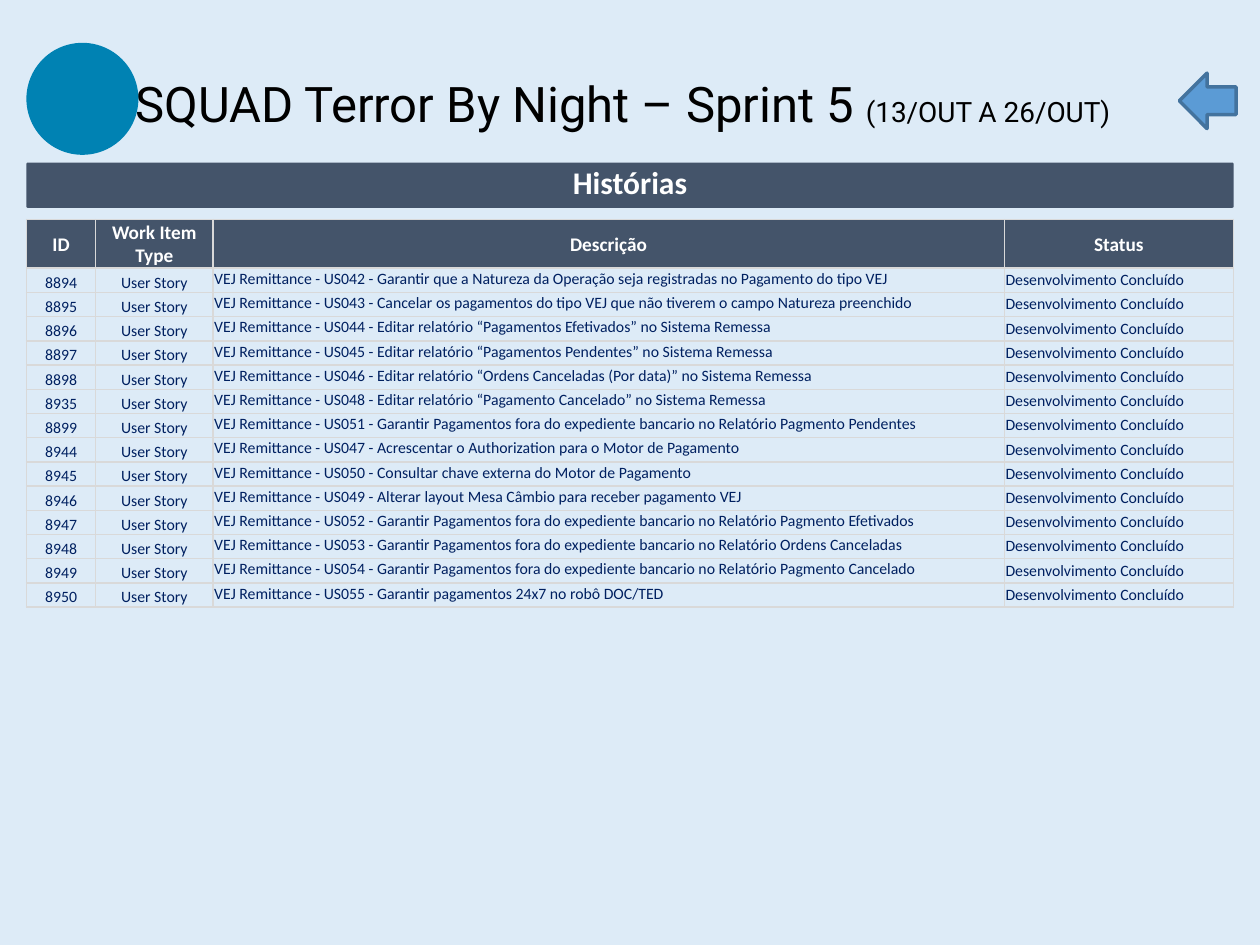
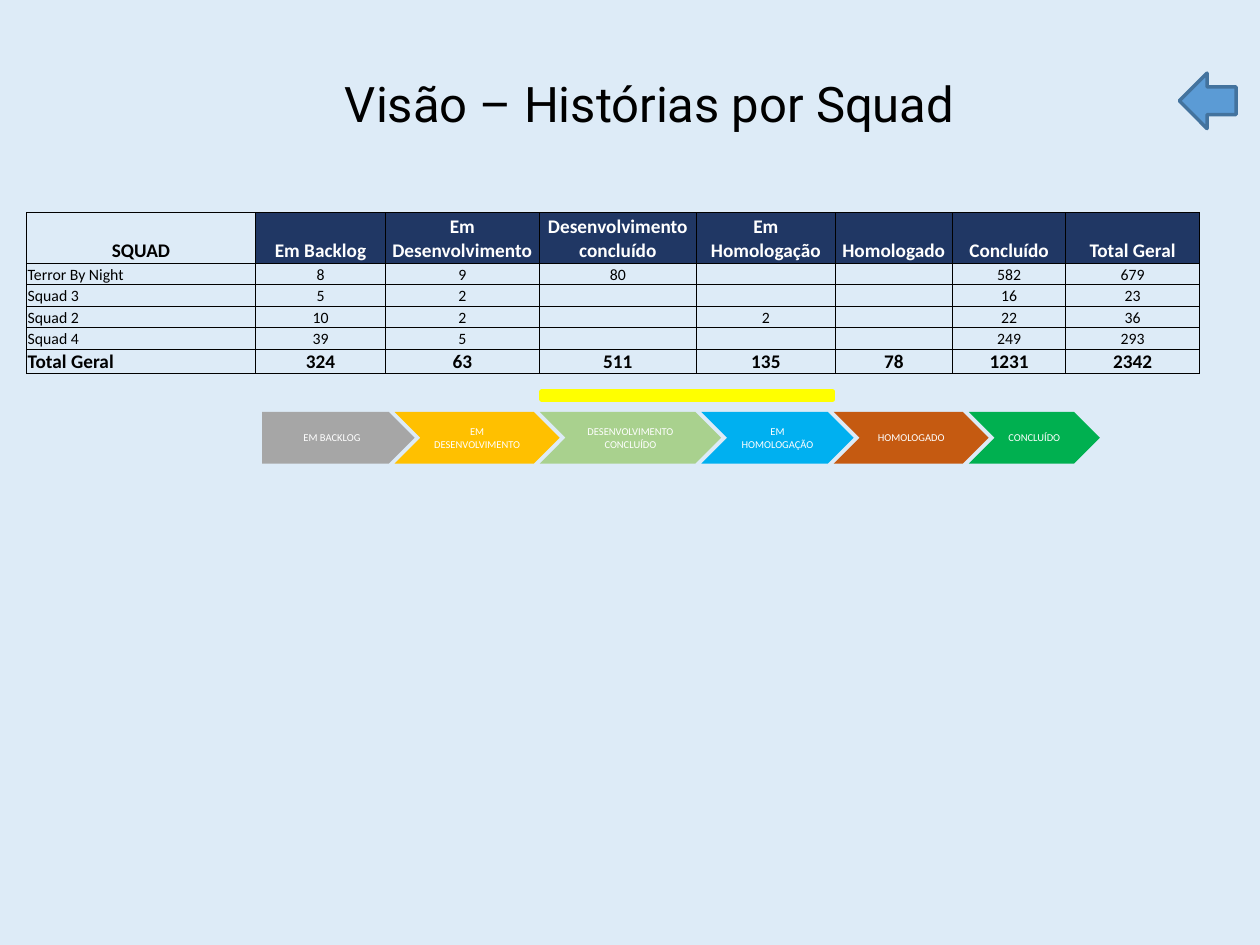
from collections import namedtuple

from lxml import etree
from pptx import Presentation
from pptx.dml import color
from pptx.enum import shapes, text
from pptx.oxml import ns
from pptx.util import Pt

Box = namedtuple("Box", "left top width height")

SKY, SLATE, NAVY, INK_BLUE = "DDEBF7", "44546A", "203764", "002060"
WHITE, BLACK = "FFFFFF", "000000"
TITLE_FONT, BODY_FONT = "Roboto", "Calibri"
MARGIN = 15.12
HAIR_INSETS = dict(margin_left=Pt(0.72), margin_top=Pt(0.72),
                   margin_right=Pt(0.72), margin_bottom=0)
STATUS_INSETS = {**HAIR_INSETS, "margin_top": Pt(1.44), "margin_bottom": Pt(1.44)}
CENTER, LEFT = text.PP_ALIGN.CENTER, text.PP_ALIGN.LEFT
TOP, MIDDLE, BOTTOM = (text.MSO_ANCHOR.TOP, text.MSO_ANCHOR.MIDDLE,
                       text.MSO_ANCHOR.BOTTOM)

STORIES = [
    ("8894", "US042 - Garantir que a Natureza da Operação seja registradas no Pagamento do tipo VEJ"),
    ("8895", "US043 - Cancelar os pagamentos do tipo VEJ que não tiverem o campo Natureza preenchido"),
    ("8896", "US044 - Editar relatório “Pagamentos Efetivados” no Sistema Remessa"),
    ("8897", "US045 - Editar relatório “Pagamentos Pendentes” no Sistema Remessa"),
    ("8898", "US046 - Editar relatório “Ordens Canceladas (Por data)” no Sistema Remessa"),
    ("8935", "US048 - Editar relatório “Pagamento Cancelado” no Sistema Remessa"),
    ("8899", "US051 - Garantir Pagamentos fora do expediente bancario no Relatório Pagmento Pendentes"),
    ("8944", "US047 - Acrescentar o Authorization para o Motor de Pagamento"),
    ("8945", "US050 - Consultar chave externa do Motor de Pagamento"),
    ("8946", "US049 - Alterar layout Mesa Câmbio para receber pagamento VEJ"),
    ("8947", "US052 - Garantir Pagamentos fora do expediente bancario no Relatório Pagmento Efetivados"),
    ("8948", "US053 - Garantir Pagamentos fora do expediente bancario no Relatório Ordens Canceladas"),
    ("8949", "US054 - Garantir Pagamentos fora do expediente bancario no Relatório Pagmento Cancelado"),
    ("8950", "US055 - Garantir pagamentos 24x7 no robô DOC/TED"),
]
SQUAD_COUNTS = [
    ("SQUAD", "Em Backlog", "Em Desenvolvimento", "Desenvolvimento concluído",
     "Em Homologação", "Homologado", "Concluído", "Total Geral"),
    ("Terror By Night", "8", "9", "80", "", "", "582", "679"),
    ("Squad 3", "5", "2", "", "", "", "16", "23"),
    ("Squad 2", "10", "2", "", "2", "", "22", "36"),
    ("Squad 4", "39", "5", "", "", "", "249", "293"),
    ("Total Geral", "324", "63", "511", "135", "78", "1231", "2342"),
]
STAGES = [
    ("EM BACKLOG", 87.12, "A6A6A6"),
    ("EM DESENVOLVIMENTO", 94.32, "FFC000"),
    ("DESENVOLVIMENTO CONCLUÍDO", 103.68, "A9D18E"),
    ("EM HOMOLOGAÇÃO", 87.12, "00B0F0"),
    ("HOMOLOGADO", 88.56, "C55A11"),
    ("CONCLUÍDO", 74.88, "00B050"),
]


def rgb(hex_code):
    return color.RGBColor.from_string(hex_code)


def apply(target, formats):
    for name, value in formats.items():
        setattr(target, name, value)


def points(box):
    return [Pt(length) for length in box]


def write(paragraph, words, size, ink, font=BODY_FONT, bold=False, align=CENTER):
    paragraph.alignment = align
    run = paragraph.add_run()
    run.text = words
    apply(run.font, dict(size=Pt(size), name=font, bold=bold))
    run.font.color.rgb = rgb(ink)


def add_figure(slide, preset, box, fill, line=None, line_width=0):
    figure = slide.shapes.add_shape(preset, *points(box))
    figure.shadow.inherit = False
    figure.fill.solid()
    figure.fill.fore_color.rgb = rgb(fill)
    if line:
        figure.line.color.rgb = rgb(line)
        figure.line.width = Pt(line_width)
    else:
        figure.line.fill.background()
    apply(figure.text_frame, dict(word_wrap=True, vertical_anchor=MIDDLE))
    return figure


def add_header(slide, box, title, period="", right_inset=7.2):
    frame = slide.shapes.add_textbox(*points(box)).text_frame
    apply(frame, dict(word_wrap=True, vertical_anchor=MIDDLE,
                      margin_right=Pt(right_inset)))
    write(frame.paragraphs[0], title, 28, BLACK, TITLE_FONT)
    if period:
        write(frame.paragraphs[0], period, 16, BLACK, TITLE_FONT)
    back = Box(box.left + box.width - 38.9, box.top + 17.3, 32.4, 31.7)
    add_figure(slide, shapes.MSO_SHAPE.LEFT_ARROW, back, "5B9BD5", "43739E", 2)


def add_grid(slide, box, widths, heights):
    grid = slide.shapes.add_table(len(heights), len(widths), *points(box)).table
    apply(grid, dict(first_row=False, horz_banding=False))
    for column, width in zip(grid.columns, widths):
        column.width = Pt(width)
    for row, height in zip(grid.rows, heights):
        row.height = Pt(height)
    return grid


def fill_cell(cell, words, size, ink, border, bold=False, align=CENTER,
              anchor=BOTTOM, fill=None, insets=HAIR_INSETS):
    """Border is a (colour, width in points) pair used on all four sides."""
    apply(cell, {**insets, "vertical_anchor": anchor})
    paragraph = cell.text_frame.paragraphs[0]
    if words:
        write(paragraph, words, size, ink, bold=bold, align=align)
    else:
        etree.SubElement(paragraph._p, ns.qn("a:endParaRPr"), sz=str(size * 100))
    properties = cell._tc.get_or_add_tcPr()
    for side in ("a:lnL", "a:lnR", "a:lnT", "a:lnB"):
        edge = etree.SubElement(properties, ns.qn(side), w=str(Pt(border[1])))
        solid = etree.SubElement(edge, ns.qn("a:solidFill"))
        etree.SubElement(solid, ns.qn("a:srgbClr"), val=border[0])
    if fill:
        cell.fill.solid()
        cell.fill.fore_color.rgb = rgb(fill)
    else:
        cell.fill.background()


def add_band(slide, box, heading):
    band = add_figure(slide, shapes.MSO_SHAPE.ROUNDED_RECTANGLE, box, SLATE)
    band.adjustments[0] = 0.03
    paragraph = band.text_frame.paragraphs[0]
    paragraph.line_spacing = 0.85
    write(paragraph, heading, 18, WHITE, bold=True)


def add_stories(slide, box):
    border = ("D9D9D9", 1)
    header_height = 28
    row_height = (box.height - header_height) / len(STORIES)
    grid = add_grid(slide, box, (39.6, 67, 452.2, 131),
                    [header_height] + [row_height] * len(STORIES))
    for column, heading in enumerate(("ID", "Work Item Type", "Descrição", "Status")):
        fill_cell(grid.cell(0, column), heading, 11, WHITE, border, bold=True,
                  anchor=MIDDLE, fill=SLATE)
    layouts = (
        {}, {}, dict(align=LEFT, anchor=TOP),
        dict(align=LEFT, anchor=MIDDLE, insets=STATUS_INSETS),
    )
    for row, (story_id, description) in enumerate(STORIES, 1):
        values = (story_id, "User Story", f"VEJ Remittance - {description}",
                  "Desenvolvimento Concluído")
        for column, (value, layout) in enumerate(zip(values, layouts)):
            fill_cell(grid.cell(row, column), value, 9, INK_BLUE, border, **layout)


def add_squad_counts(slide, box):
    heights = [28.8] + [12.3] * 4 + [14.2]
    grid = add_grid(slide, box, (131, 74.2, 87.8, 90, 79.2, 67, 64.8, 76.3), heights)
    last = len(SQUAD_COUNTS) - 1
    for row, values in enumerate(SQUAD_COUNTS):
        strong = row in (0, last)
        for column, value in enumerate(values):
            stage_heading = row == 0 and column > 0
            fill_cell(grid.cell(row, column), value, 11 if strong else 9,
                      WHITE if stage_heading else BLACK, (BLACK, 0.5), bold=strong,
                      align=LEFT if row and not column else CENTER,
                      fill=NAVY if stage_heading else SKY if strong else None)


def add_stage_flow(slide, box):
    """Chevrons nest into each other; a marker lies above the middle stages."""
    overlap = 11.4
    marker = Box(box.left + 159.8, box.top - 11.5, 166.3, 4.3)
    add_figure(slide, shapes.MSO_SHAPE.RECTANGLE, marker, "FFFF00", "FFFF00", 2.75)
    left = box.left
    for index, (stage, width, fill) in enumerate(STAGES):
        preset = shapes.MSO_SHAPE.CHEVRON if index else shapes.MSO_SHAPE.PENTAGON
        step = add_figure(slide, preset, Box(left, box.top, width, box.height), fill)
        write(step.text_frame.paragraphs[0], stage, 6, WHITE)
        left += width - overlap


def add_slide(deck):
    slide = deck.slides.add_slide(deck.slide_layouts[6])
    slide.background.fill.solid()
    slide.background.fill.fore_color.rgb = rgb(SKY)
    return slide


def build_sprint(deck):
    slide = add_slide(deck)
    add_header(slide, Box(7.2, 24.5, 705.6, 68.4), "SQUAD Terror By Night – Sprint 5 ",
               "(13/OUT A 26/OUT)", right_inset=15.2)
    add_figure(slide, shapes.MSO_SHAPE.OVAL, Box(MARGIN, 24.5, 64, 64), "0082B3")
    add_stories(slide, Box(MARGIN, 125.3, 689.8, 221.8))
    add_band(slide, Box(MARGIN, 92.9, 689.8, 25.9), "Histórias")


def build_overview(deck):
    slide = add_slide(deck)
    add_header(slide, Box(29.5, 24.5, 683.3, 68.4), "Visão – Histórias por Squad")
    add_stage_flow(slide, Box(149.8, 235.4, 478, 29.5))
    add_squad_counts(slide, Box(MARGIN, 121.5, 670.3, 92.2))


def main():
    deck = Presentation()
    apply(deck, dict(slide_width=Pt(720), slide_height=Pt(540)))
    build_sprint(deck)
    build_overview(deck)
    deck.save("out.pptx")


if __name__ == "__main__":
    main()
